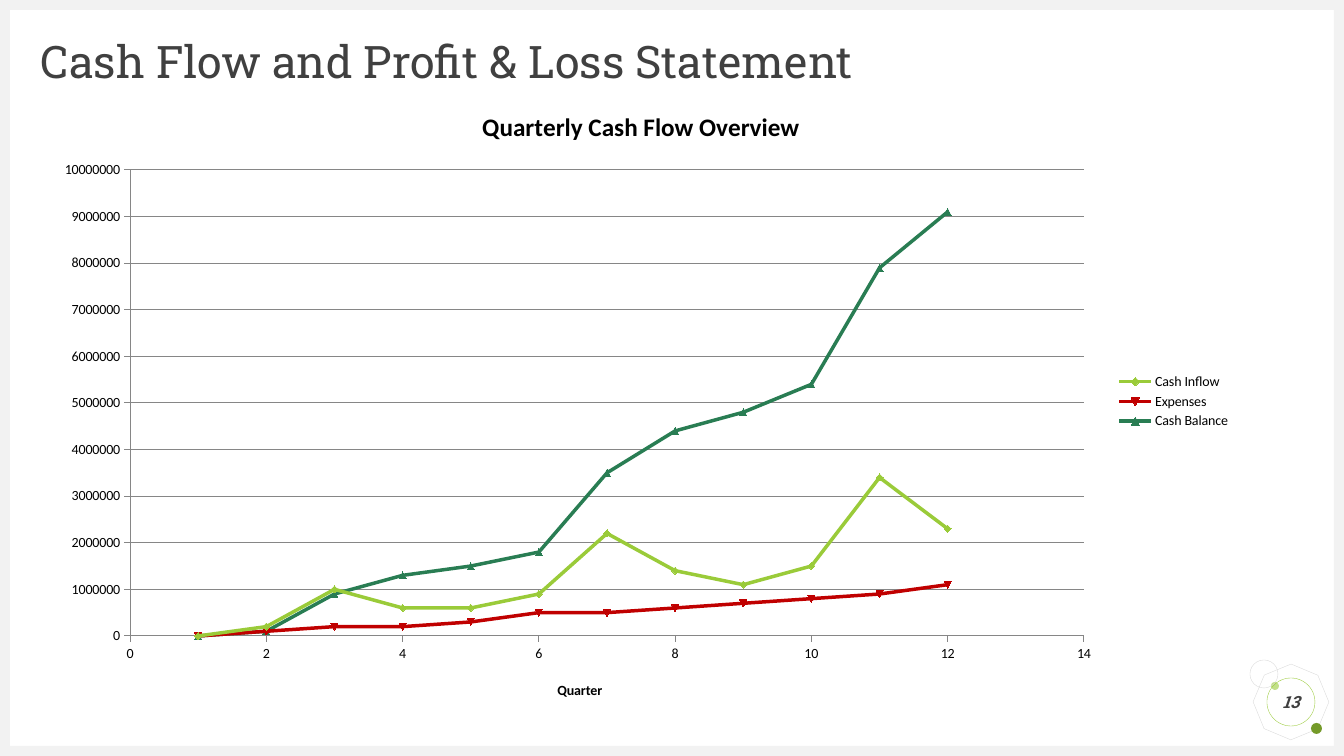
from dataclasses import dataclass
from typing import Any, NamedTuple, Optional

from lxml.etree import SubElement
from pptx import Presentation
from pptx.chart.data import XyChartData
from pptx.dml.color import RGBColor
from pptx.enum.chart import XL_CHART_TYPE as ChartType, XL_LEGEND_POSITION as LegendPosition
from pptx.enum.chart import XL_MARKER_STYLE as MarkerStyle, XL_TICK_MARK as TickMark
from pptx.enum.shapes import MSO_SHAPE as ShapeKind
from pptx.enum.text import MSO_ANCHOR as Anchor, MSO_AUTO_SIZE as AutoSize, PP_ALIGN as Align
from pptx.oxml import parse_xml
from pptx.oxml.ns import nsdecls, qn
from pptx.util import Emu, Pt


@dataclass(frozen=True)
class Theme:
    heading_font: str = "Roboto Slab"
    chart_font: str = "Calibri"
    text: str = "404040"
    chart_text: str = "000000"
    frame: str = "F2F2F2"
    outline: str = "D9D9D9"
    axis: str = "868686"
    lime: str = "9ACB39"
    light_lime: str = "C2E088"
    olive: str = "749A29"
    red: str = "C00000"
    green: str = "297D53"
    title_size: int = 32
    chart_title_size: int = 18
    number_size: int = 12
    label_size: int = 10
    hairline: float = 0.25
    axis_line: float = 0.75
    series_line: float = 2.5


class Box(NamedTuple):
    left: int
    top: int
    width: int
    height: int


class Decoration(NamedTuple):
    kind: ShapeKind
    box: Box
    fill: Optional[str] = None
    line: Optional[str] = None
    rotation: float = 0


class CashSeries(NamedTuple):
    name: str
    color: str
    hundred_thousands: tuple[int, ...]


THEME = Theme()
EMU_PER_PX = 914400 / 100.8
SLIDE = Box(0, 0, 1344, 756)
BORDER = 10
TITLE = Box(41, 40, 1250, 47)
CHART = Box(41, 87, 1200, 629)
PLOT = Box(130, 170, 954, 466)
AXIS_TITLE = Box(555, 679, 46, 14)
BADGE = Decoration(ShapeKind.OVAL, Box(1267, 678, 48, 48), line=THEME.lime)

DECORATIONS = (
    Decoration(ShapeKind.OCTAGON, Box(1256, 667, 70, 70), line=THEME.outline, rotation=22.7),
    Decoration(ShapeKind.OVAL, Box(1271, 682, 8, 8), fill=THEME.light_lime),
    Decoration(ShapeKind.OVAL, Box(1311, 723, 11, 11), fill=THEME.olive),
    Decoration(ShapeKind.OVAL, Box(1250, 660, 28, 28), line=THEME.outline),
    *(
        Decoration(ShapeKind.RECTANGLE, box, fill=THEME.frame)
        for box in (
            Box(0, SLIDE.height - BORDER, SLIDE.width, BORDER),
            Box(0, 0, SLIDE.width, BORDER),
            Box(0, 0, BORDER, SLIDE.height),
            Box(SLIDE.width - BORDER, 0, BORDER, SLIDE.height),
        )
    ),
)

CASH_SERIES = (
    CashSeries("Cash Inflow", THEME.lime, (0, 2, 10, 6, 6, 9, 22, 14, 11, 15, 34, 23)),
    CashSeries("Expenses", THEME.red, (0, 1, 2, 2, 3, 5, 5, 6, 7, 8, 9, 11)),
    CashSeries("Cash Balance", THEME.green, (0, 1, 9, 13, 15, 18, 35, 44, 48, 54, 79, 91)),
)


def px(length: int) -> Emu:
    return Emu(round(length * EMU_PER_PX))


def apply(target: Any, formats: dict[str, Any]) -> None:
    for name, value in formats.items():
        setattr(target, name, value)


def place(shape: Any, box: Box) -> None:
    apply(shape, {name: px(length) for name, length in box._asdict().items()})


def format_font(font: Any, name: str, size: int, color: str, **styles: bool) -> None:
    apply(font, {"name": name, "size": Pt(size), **styles})
    font.color.rgb = RGBColor.from_string(color)


def format_line(line: Any, color: str, width: float) -> None:
    line.color.rgb = RGBColor.from_string(color)
    line.width = Pt(width)


def fill_solid(fill: Any, color: str) -> None:
    fill.solid()
    fill.fore_color.rgb = RGBColor.from_string(color)


def write_text(shape: Any, text: str, alignment: Align, size: int, **styles: bool) -> Any:
    margins = {f"margin_{side}": 0 for side in ("left", "top", "right", "bottom")}
    frame = shape.text_frame
    apply(frame, {"text": text, "word_wrap": True, "auto_size": AutoSize.NONE,
                  "vertical_anchor": Anchor.MIDDLE, **margins})
    paragraph = frame.paragraphs[0]
    paragraph.alignment = alignment
    format_font(paragraph.runs[0].font, THEME.heading_font, size, THEME.text, **styles)
    return paragraph


def add_decoration(slide: Any, item: Decoration) -> Any:
    shape = slide.shapes.add_shape(item.kind, *map(px, item.box))
    shape.shadow.inherit = False
    shape.rotation = item.rotation
    if item.fill:
        fill_solid(shape.fill, item.fill)
    else:
        shape.fill.background()
    if item.line:
        format_line(shape.line, item.line, THEME.hairline)
    else:
        shape.line.fill.background()
    return shape


def set_layout(element: Any, index: int, values: dict[str, Any]) -> None:
    layout = element.find(qn("c:layout"))
    if layout is None:
        layout = parse_xml(f"<c:layout {nsdecls('c')}/>")
        element.insert(index, layout)
    manual = SubElement(layout, qn("c:manualLayout"))
    for name, value in values.items():
        SubElement(manual, qn(f"c:{name}")).set("val", str(value))


def chart_position(box: Box) -> dict[str, Any]:
    return {"xMode": "edge", "yMode": "edge",
            "x": round((box.left - CHART.left) / CHART.width, 4),
            "y": round((box.top - CHART.top) / CHART.height, 4)}


def format_title(title: Any, text: str, size: int) -> None:
    title.text_frame.text = text
    font = title.text_frame.paragraphs[0].runs[0].font
    format_font(font, THEME.chart_font, size, THEME.chart_text, bold=True)


def format_axis(axis: Any, maximum: int, unit: int, gridlines: bool) -> None:
    apply(axis, {"minimum_scale": 0, "maximum_scale": maximum, "major_unit": unit,
                 "has_major_gridlines": gridlines, "major_tick_mark": TickMark.OUTSIDE,
                 "minor_tick_mark": TickMark.NONE})
    apply(axis.tick_labels, {"number_format": "General", "number_format_is_linked": False})
    format_line(axis.format.line, THEME.axis, THEME.axis_line)
    if gridlines:
        format_line(axis.major_gridlines.format.line, THEME.axis, THEME.axis_line)


def add_cash_chart(slide: Any) -> None:
    data = XyChartData()
    for item in CASH_SERIES:
        points = data.add_series(item.name)
        for quarter, value in enumerate(item.hundred_thousands, 1):
            points.add_data_point(quarter, value * 100_000)
    chart = slide.shapes.add_chart(ChartType.XY_SCATTER_LINES, *map(px, CHART), data).chart
    apply(chart, {"has_title": True, "has_legend": True})
    apply(chart.legend, {"position": LegendPosition.RIGHT, "include_in_layout": False})
    format_font(chart.font, THEME.chart_font, THEME.label_size, THEME.chart_text)
    format_title(chart.chart_title, "Quarterly Cash Flow Overview", THEME.chart_title_size)
    format_axis(chart.category_axis, 14, 2, False)
    format_axis(chart.value_axis, 10_000_000, 1_000_000, True)
    quarter_title = chart.category_axis.axis_title
    format_title(quarter_title, "Quarter", THEME.label_size)
    set_layout(quarter_title._element, 1, chart_position(AXIS_TITLE))
    set_layout(chart._chartSpace.chart.plotArea, 0, {
        "layoutTarget": "inner", **chart_position(PLOT),
        "w": round(PLOT.width / CHART.width, 4), "h": round(PLOT.height / CHART.height, 4)})
    for index, (series, item) in enumerate(zip(chart.plots[0].series, CASH_SERIES), 1):
        series._element.find(qn("c:idx")).set("val", str(index))
        series.smooth = False
        format_line(series.format.line, item.color, THEME.series_line)
        apply(series.marker, {"style": MarkerStyle.AUTOMATIC, "size": 5})
        fill_solid(series.marker.format.fill, item.color)
        format_line(series.marker.format.line, item.color, THEME.axis_line)


def main() -> None:
    presentation = Presentation()
    apply(presentation, {"slide_width": px(SLIDE.width), "slide_height": px(SLIDE.height)})
    slide = presentation.slides.add_slide(presentation.slide_layouts.get_by_name("Title Only"))
    for item in DECORATIONS:
        add_decoration(slide, item)
    title = slide.shapes.title
    place(title, TITLE)
    heading = write_text(title, "Cash Flow and Profit & Loss Statement", Align.LEFT, THEME.title_size)
    heading.line_spacing = 0.9
    badge = add_decoration(slide, BADGE)
    write_text(badge, "13", Align.CENTER, THEME.number_size, bold=True, italic=True)
    add_cash_chart(slide)
    presentation.save("out.pptx")


if __name__ == "__main__":
    main()
